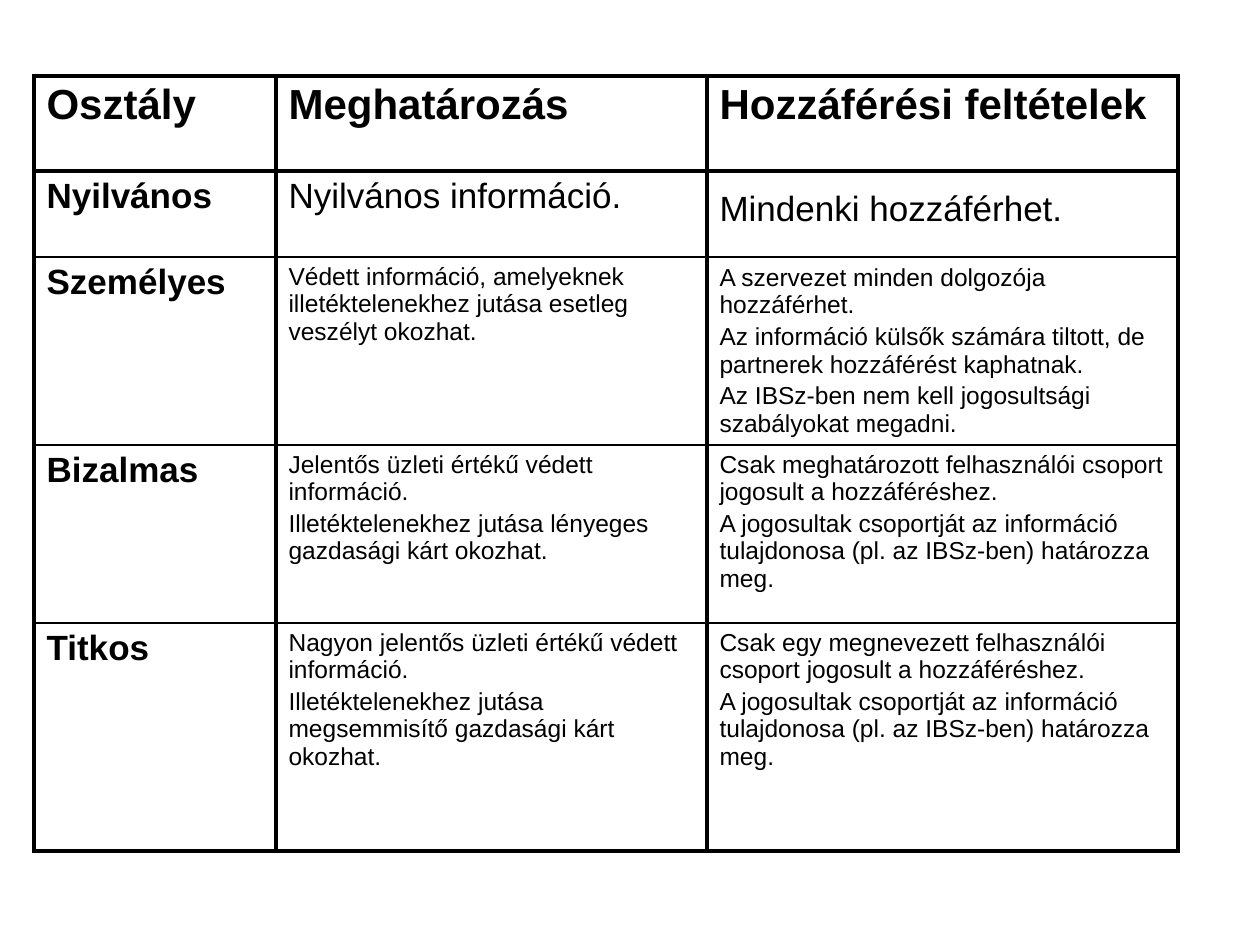
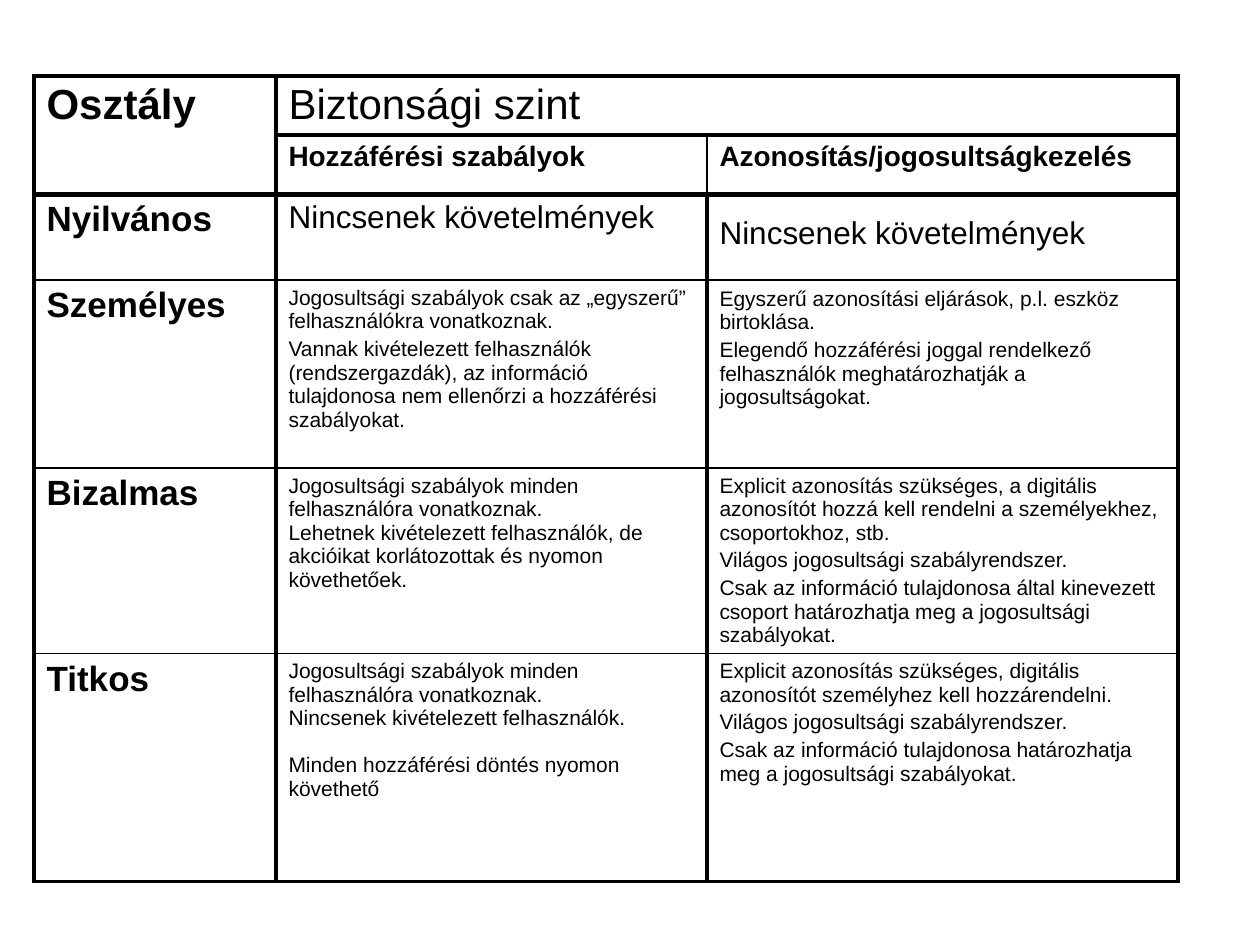
"""Two slides of bordered tables on information classes."""
import pptx
import pptx.dml.color
import pptx.oxml
import pptx.util

SCALE = 914400 // 126
FONT = "Arial"
INK = "000000"
FRAME, THICK, THIN = 2.25, 3, 1
LEFT, TOP = 34, 76
COLS = [242, 431, 471]
BODY = [86, 188, 178, 228]
NAMES = ["Nyilvános", "Személyes", "Bizalmas", "Titkos"]
GAP = 2.4
NS = "http://schemas.openxmlformats.org/drawingml/2006/main"


def px(count):
    """Turn pixels into EMU."""
    return pptx.util.Emu(count * SCALE)


def color(code):
    """Turn a hex string into a colour."""
    return pptx.dml.color.RGBColor.from_string(code)


def write(cell, text, size, bold=False, gaps=None, top=6):
    """Fill a cell; gaps are the points before each later paragraph."""
    cell.text_frame.text = text
    cell.margin_top = px(top)
    paras = cell.text_frame.paragraphs
    gaps = gaps or [GAP] * (len(paras) - 1)
    for para, gap in zip(paras, [0] + gaps):
        para.space_before = pptx.util.Pt(gap)
        for run in para.runs:
            run.font.name = FONT
            run.font.size = pptx.util.Pt(size)
            run.font.bold = bold
            run.font.color.rgb = color(INK)


def edge(cell, side, width):
    """Draw one border of a cell."""
    line = pptx.oxml.parse_xml(
        f'<a:ln{side} xmlns:a="{NS}" w="{int(width * 12700)}">'
        f'<a:solidFill><a:srgbClr val="{INK}"/></a:solidFill></a:ln{side}>')
    cell._tc.get_or_add_tcPr().append(line)


def rule(grid, heads):
    """Border every cell: frame, thick heads and columns, thin body rows."""
    rows, cols = len(grid.rows), len(grid.columns)

    def across(row):
        """Give the width of the line above a row."""
        if row in (0, rows):
            return FRAME
        return THICK if row <= heads else THIN

    def down(col, row):
        """Give the width of the line left of a column."""
        if col in (0, cols):
            return FRAME
        return THIN if col == 2 and 0 < row < heads else THICK

    for row in range(rows):
        for col in range(cols):
            cell = grid.cell(row, col)
            if cell.is_spanned:
                continue
            high = cell.span_height if cell.is_merge_origin else 1
            wide = cell.span_width if cell.is_merge_origin else 1
            edge(cell, "L", down(col, row))
            edge(cell, "R", down(col + wide, row))
            edge(cell, "T", across(row))
            edge(cell, "B", across(row + high))
            cell.fill.background()


def table(deck, heights):
    """Add a blank slide with an empty table of the shared layout."""
    slide = deck.slides.add_slide(deck.slide_layouts[6])
    sizes = heights + BODY
    frame = slide.shapes.add_table(len(sizes), len(COLS), px(LEFT), px(TOP),
                                   px(sum(COLS)), px(sum(sizes)))
    grid = frame.table
    grid.first_row = grid.horz_banding = False
    for column, width in zip(grid.columns, COLS):
        column.width = px(width)
    for row, height in zip(grid.rows, sizes):
        row.height = px(height)
    write(grid.cell(0, 0), "Osztály", 24, True)
    for row, name in enumerate(NAMES, len(heights)):
        write(grid.cell(row, 0), name, 20, True)
    return grid


def body(grid, start, public, size, drop, texts):
    """Write the body: a large public row, then rows of small text."""
    for row, pair in enumerate(texts, start):
        for col, text in enumerate(pair, 1):
            if row == start:
                write(grid.cell(row, col), text, public,
                      top=drop if col == 2 else 6)
            else:
                lower = row == start + 1 and col == 2
                write(grid.cell(row, col), text, size, top=7 if lower else 6)


def access(deck):
    """Build the slide of definitions and access terms."""
    grid = table(deck, [95])
    write(grid.cell(0, 1), "Meghatározás", 24, True)
    write(grid.cell(0, 2), "Hozzáférési feltételek", 24, True)
    owner = ("A jogosultak csoportját az információ tulajdonosa "
             "(pl. az IBSz-ben) határozza meg.")
    body(grid, 1, 20, 14, 19, [
        ("Nyilvános információ.", "Mindenki hozzáférhet."),
        ("Védett információ, amelyeknek illetéktelenekhez jutása esetleg "
         "veszélyt okozhat.",
         "A szervezet minden dolgozója hozzáférhet.\n"
         "Az információ külsők számára tiltott, de partnerek hozzáférést "
         "kaphatnak.\n"
         "Az IBSz-ben nem kell jogosultsági szabályokat megadni."),
        ("Jelentős üzleti értékű védett információ.\n"
         "Illetéktelenekhez jutása lényeges gazdasági kárt okozhat.",
         "Csak meghatározott felhasználói csoport jogosult a "
         "hozzáféréshez.\n" + owner),
        ("Nagyon jelentős üzleti értékű védett információ.\n"
         "Illetéktelenekhez jutása megsemmisítő gazdasági kárt okozhat.",
         "Csak egy megnevezett felhasználói csoport jogosult a "
         "hozzáféréshez.\n" + owner)])
    rule(grid, 1)


def safety(deck):
    """Build the slide of security levels."""
    grid = table(deck, [59, 57])
    grid.cell(0, 0).merge(grid.cell(1, 0))
    grid.cell(0, 1).merge(grid.cell(0, 2))
    write(grid.cell(0, 1), "Biztonsági szint", 24)
    write(grid.cell(1, 1), "Hozzáférési szabályok", 16, True)
    write(grid.cell(1, 2), "Azonosítás/jogosultságkezelés", 16, True)
    none = "Nincsenek követelmények"
    every = "Jogosultsági szabályok minden felhasználóra vonatkoznak.\n"
    clear = "Világos jogosultsági szabályrendszer.\n"
    limits = (every + "Lehetnek kivételezett felhasználók, de akcióikat "
              "korlátozottak és nyomon követhetőek.")
    traced = (every + "Nincsenek kivételezett felhasználók.\n"
              "Minden hozzáférési döntés nyomon követhető")
    body(grid, 2, 18, 12, 22, [
        (none, none),
        ("Jogosultsági szabályok csak az „egyszerű” felhasználókra "
         "vonatkoznak.\n"
         "Vannak kivételezett felhasználók (rendszergazdák), az információ "
         "tulajdonosa nem ellenőrzi a hozzáférési szabályokat.",
         "Egyszerű azonosítási eljárások, p.l. eszköz birtoklása.\n"
         "Elegendő hozzáférési joggal rendelkező felhasználók "
         "meghatározhatják a jogosultságokat."),
        (limits,
         "Explicit azonosítás szükséges, a digitális azonosítót hozzá kell "
         "rendelni a személyekhez, csoportokhoz, stb.\n" + clear +
         "Csak az információ tulajdonosa által kinevezett csoport "
         "határozhatja meg a jogosultsági szabályokat."),
        (traced,
         "Explicit azonosítás szükséges, digitális azonosítót személyhez "
         "kell hozzárendelni.\n" + clear +
         "Csak az információ tulajdonosa határozhatja meg a jogosultsági "
         "szabályokat.")])
    write(grid.cell(4, 1), limits, 12, gaps=[0])
    write(grid.cell(5, 1), traced, 12, gaps=[0, 13.5])
    rule(grid, 2)


def main():
    """Build and save the slides."""
    deck = pptx.Presentation()
    deck.slide_width, deck.slide_height = px(1260), px(945)
    access(deck)
    safety(deck)
    deck.save("out.pptx")


main()
